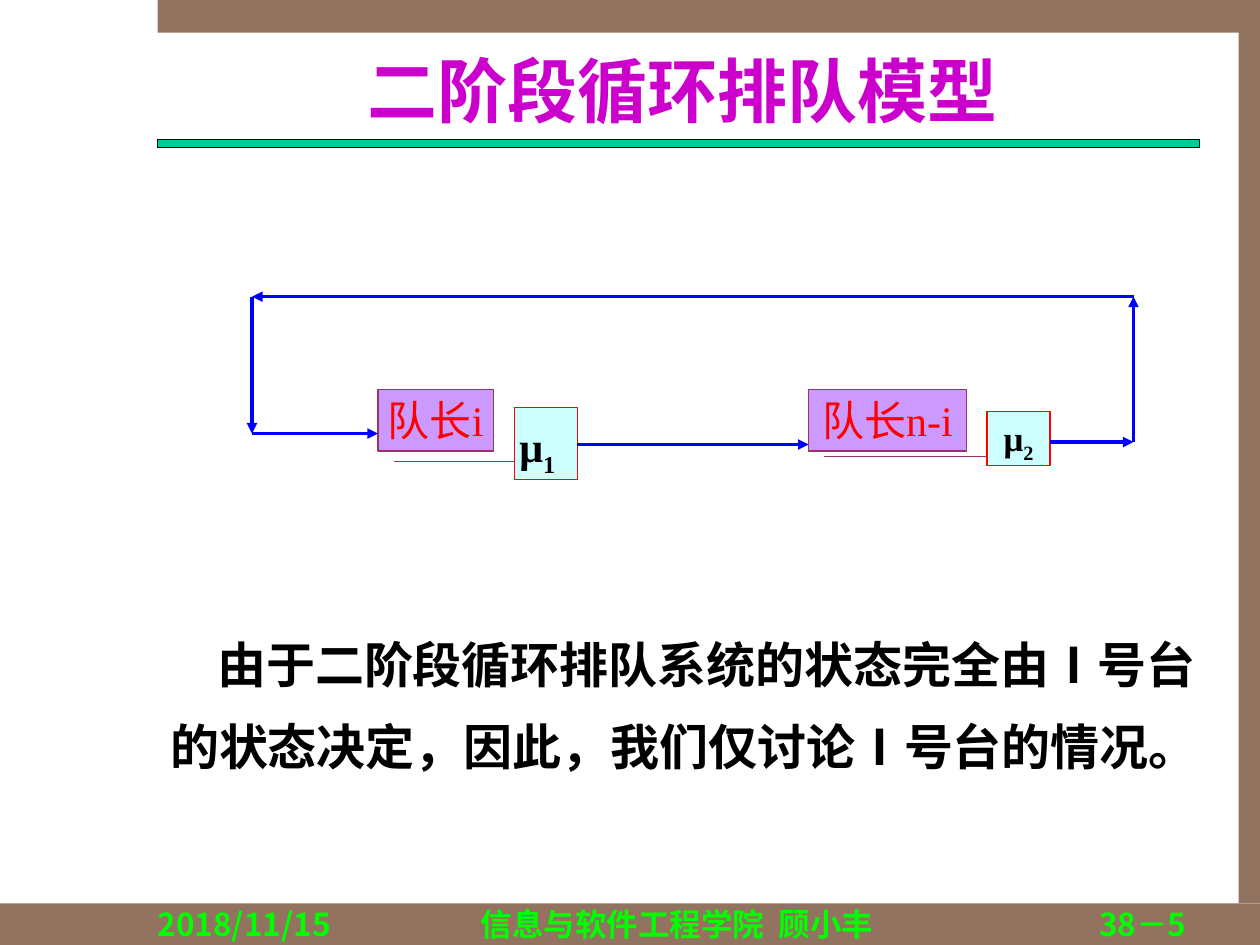
from dataclasses import dataclass
from itertools import pairwise

from lxml import etree
from pptx import Presentation, util as u
from pptx.dml.color import RGBColor
from pptx.enum import shapes, text
from pptx.oxml.ns import qn


@dataclass(frozen=True)
class Theme:
    serif: str = "Times New Roman"
    sans: str = "Noto Sans CJK SC"
    frame: str = "91735F"
    rule: str = "00CC99"
    heading: str = "CC00CC"
    ink: str = "000000"
    footer: str = "00FF00"
    server: str = "CCFFFF"
    alert: str = "FF0000"
    queue: str = "CC99FF"
    queue_line: str = "993366"
    flow: str = "0000FF"
    title_size: int = 40
    prose_size: int = 28
    label_size: int = 24
    small_size: int = 20
    footer_size: int = 18


THEME = Theme()
LEFT, CENTER, RIGHT = text.PP_ALIGN.LEFT, text.PP_ALIGN.CENTER, text.PP_ALIGN.RIGHT
TOP, MIDDLE = text.MSO_ANCHOR.TOP, text.MSO_ANCHOR.MIDDLE


def cm(*lengths):
    return [u.Cm(length) for length in lengths]


def rgb(code):
    return RGBColor.from_string(code)


def write(holder, words, *, size, color, font=THEME.serif, bold=True, align=LEFT,
          anchor=TOP, inset=0.0, spacing=1.0, before=0, margin=0.0, indent=0.0,
          subscript=""):
    """Fill a shape with one formatted paragraph; margin and indent are in cm."""
    frame = holder.text_frame
    frame.word_wrap = True
    frame.auto_size = text.MSO_AUTO_SIZE.NONE
    frame.vertical_anchor = anchor
    frame.margin_left = frame.margin_right = u.Cm(inset)
    frame.margin_top = frame.margin_bottom = u.Cm(inset)

    paragraph = frame.paragraphs[0]
    paragraph.alignment = align
    paragraph.line_spacing = spacing
    paragraph.space_before = u.Pt(before)
    properties = paragraph._p.get_or_add_pPr()
    properties.set("marL", str(u.Cm(margin)))
    properties.set("indent", str(u.Cm(indent)))
    etree.SubElement(properties, qn("a:buNone"))

    for part, baseline in ((words, None), (subscript, "-25000")):
        if not part:
            continue
        run = paragraph.add_run()
        run.text = part
        run.font.size = u.Pt(size)
        run.font.bold = bold
        run.font.color.rgb = rgb(color)
        run.font.name = font
        etree.SubElement(run._r.rPr, qn("a:ea"), typeface=THEME.sans)
        if baseline:
            run._r.rPr.set("baseline", baseline)


def place(holder, left, top, width, height):
    holder.left, holder.top, holder.width, holder.height = cm(left, top, width, height)


def paint(shape, fill, line=None):
    shape.fill.solid()
    shape.fill.fore_color.rgb = rgb(fill)
    if line:
        shape.line.color.rgb = rgb(line)
        shape.line.width = u.Pt(0.75)
    else:
        shape.line.fill.background()


def add_block(slide, bounds, fill, line=None, preset=shapes.MSO_SHAPE.RECTANGLE):
    block = slide.shapes.add_shape(preset, *cm(*bounds))
    block.shadow.inherit = False
    paint(block, fill, line)
    return block


def add_text(slide, bounds, words, **style):
    write(slide.shapes.add_textbox(*cm(*bounds)), words, **style)


def add_queue(slide, bounds, words, leader):
    """Add a queue label whose callout line leads to its server."""
    queue = add_block(slide, bounds, THEME.queue, THEME.queue_line,
                      shapes.MSO_SHAPE.LINE_CALLOUT_1)
    for index, value in enumerate(leader):
        queue.adjustments[index] = value
    write(queue, words, size=THEME.label_size, color=THEME.alert, bold=False,
          align=CENTER, inset=0.1)


def add_arrow(slide, start, end):
    arrow = slide.shapes.add_connector(shapes.MSO_CONNECTOR.STRAIGHT, *cm(*start, *end))
    arrow.line.color.rgb = rgb(THEME.flow)
    arrow.line.width = u.Pt(2)
    etree.SubElement(arrow.line._get_or_add_ln(), qn("a:tailEnd"), type="triangle")
    etree.SubElement(arrow._element.spPr, qn("a:effectLst"))


def add_frame(slide):
    for bounds in ((0, 18.21, 25.4, 0.84), (3.18, 0, 22.22, 0.66), (24.97, 0.64, 0.43, 17.57)):
        add_block(slide, bounds, THEME.frame)
    add_block(slide, (3.18, 2.82, 21, 0.15), THEME.rule, THEME.ink)


def add_footer(slide):
    for left, width, words, align in (
        (3.18, 4.65, "2018/11/15", LEFT),
        (7.83, 11.64, "信息与软件工程学院  顾小丰", CENTER),
        (19.68, 4.24, "38－5", RIGHT),
    ):
        add_text(slide, (left, 18.24, width, 0.76), words, size=THEME.footer_size,
                 color=THEME.footer, font=THEME.sans, align=align)


def add_servers(slide, first_server):
    place(first_server, 10.37, 8.22, 1.27, 1.45)
    paint(first_server, THEME.server, THEME.alert)
    write(first_server, "μ", subscript="1", size=THEME.label_size, color=THEME.ink,
          anchor=MIDDLE, inset=0.1, spacing=1.2, margin=1.48, indent=-1.48)

    second_server = add_block(slide, (19.9, 8.3, 1.27, 1.08), THEME.server, THEME.alert)
    write(second_server, "μ", subscript="2", size=THEME.small_size, color=THEME.ink,
          align=CENTER, inset=0.1, before=10)


def add_flow(slide):
    add_arrow(slide, (11.64, 8.96), (16.3, 8.96))
    return_loop = ((21.17, 8.91), (22.85, 8.91), (22.85, 5.98),
                   (5.08, 5.98), (5.08, 8.74), (7.62, 8.74))
    for start, end in pairwise(return_loop):
        add_arrow(slide, start, end)


def main():
    prs = Presentation()
    prs.slide_width, prs.slide_height = cm(25.4, 19.05)
    slide = prs.slides.add_slide(prs.slide_layouts[1])
    title, first_server = slide.placeholders

    add_frame(slide)
    place(title, 3.39, 0.95, 20.74, 1.71)
    write(title, "二阶段循环排队模型", size=THEME.title_size, color=THEME.heading,
          align=CENTER, anchor=MIDDLE)
    add_servers(slide, first_server)
    add_queue(slide, (7.62, 7.85, 2.33, 1.24), "队长i", (1.17, 0.14, 1.17, 1.19))
    add_queue(slide, (16.3, 7.85, 3.18, 1.24), "队长n-i", (1.09, 0.1, 1.09, 1.14))
    add_flow(slide)
    add_text(slide, (3.18, 12.07, 21.59, 3.58),
             "由于二阶段循环排队系统的状态完全由Ⅰ号台的状态决定，因此，我们仅讨论Ⅰ号台的情况。",
             size=THEME.prose_size, color=THEME.ink, inset=0.25, spacing=1.4, indent=0.95)
    add_footer(slide)
    prs.save("out.pptx")


if __name__ == "__main__":
    main()
